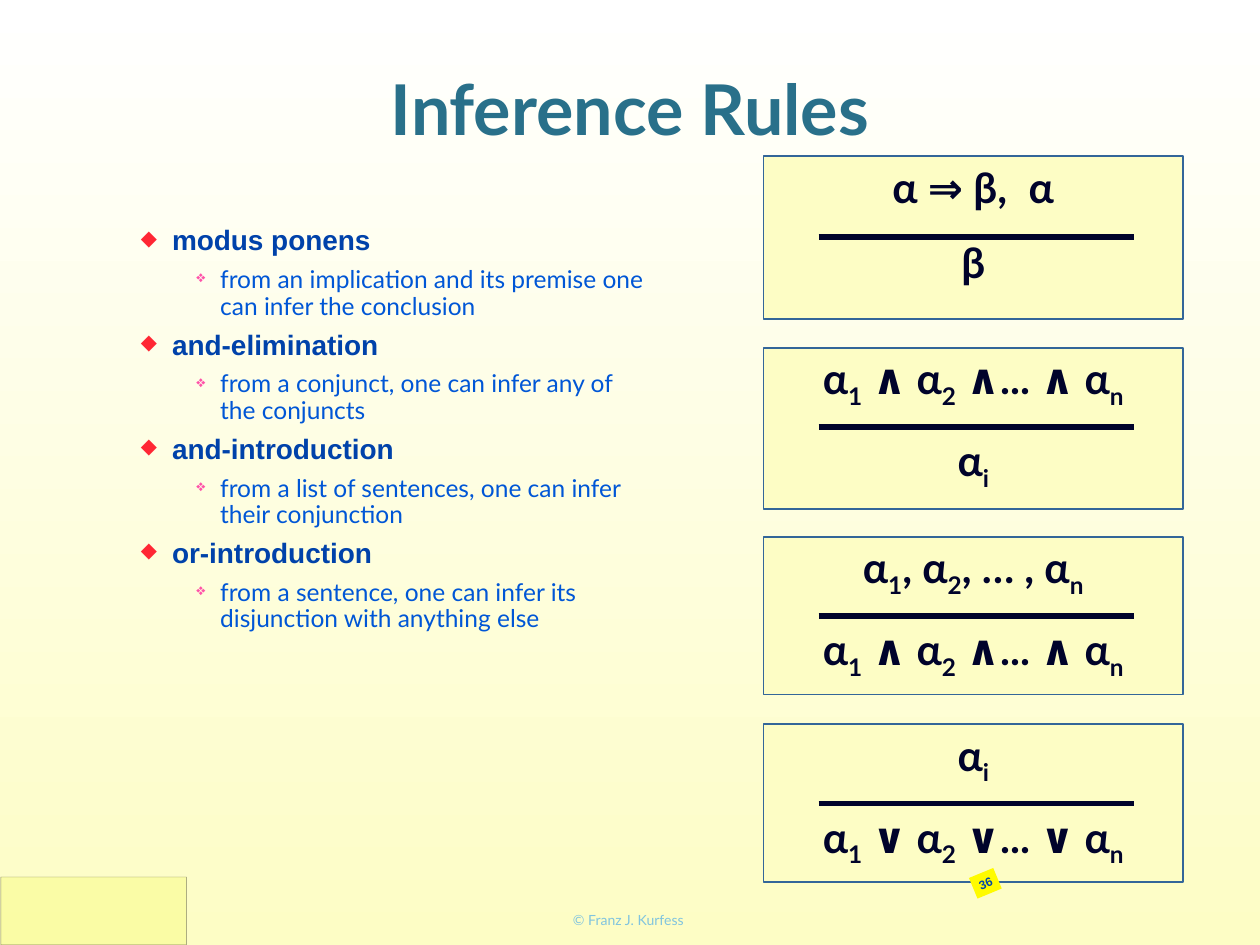
from dataclasses import dataclass

from lxml import etree
from pptx import Presentation
from pptx.dml.color import RGBColor
from pptx.enum.shapes import MSO_CONNECTOR, MSO_SHAPE
from pptx.enum.text import MSO_ANCHOR, PP_ALIGN
from pptx.oxml.ns import qn
from pptx.shapes.autoshape import Shape
from pptx.slide import Slide
from pptx.text.text import TextFrame, _Paragraph
from pptx.util import Cm, Pt

RECT = MSO_SHAPE.RECTANGLE
STRAIGHT = MSO_CONNECTOR.STRAIGHT
TOP, MIDDLE = MSO_ANCHOR.TOP, MSO_ANCHOR.MIDDLE
CENTER = PP_ALIGN.CENTER


@dataclass(frozen=True)
class Style:
    size: float
    color: str
    face: str = "Lato"
    bold: bool = False


@dataclass(frozen=True)
class Theme:
    title: Style = Style(40, "29708A", bold=True)
    head: Style = Style(16, "0042AA", "Arial", True)
    note: Style = Style(14, "0056D6")
    math: Style = Style(24, "00032B", bold=True)
    foot: Style = Style(8, "80C4DF")
    page: Style = Style(7, "0048AA", "Arial", True)
    cream: str = "FDFDC5"
    white: str = "FFFFFF"
    edge: str = "336699"
    tag: str = "FFFB00"
    corner: str = "F8FC84"
    black: str = "000000"


@dataclass(frozen=True)
class Level:
    style: Style
    left: float
    hang: float
    mark: str
    color: str
    scale: int


@dataclass(frozen=True)
class Rule:
    """One inference rule; an underscore marks the next sign as a subscript."""
    name: str
    note: str
    above: str
    below: str
    top: float
    height: float
    bar: float


THEME = Theme()
HEAD = Level(THEME.head, 1.85, 0.63, "◆", "FF2734", 75)
NOTE = Level(THEME.note, 2.82, 0.48, "❖", "FF52A9", 65)
AND = "α_1 ∧ α_2 ∧... ∧ α_n"
RULES = [
    Rule("modus ponens",
         "from an implication and its premise one can infer the conclusion",
         "α ⇒ β, \t α", "β", 3.15, 3.28, 4.78),
    Rule("and-elimination",
         "from a conjunct, one can infer any of the conjuncts",
         AND, "α_i", 7.01, 3.25, 8.61),
    Rule("and-introduction",
         "from a list of sentences, one can infer their conjunction",
         "α_1, α_2, … , α_n", AND, 10.82, 3.18, 12.42),
    Rule("or-introduction",
         "from a sentence, one can infer its disjunction with anything else",
         "α_i", "α_1 ∨ α_2 ∨... ∨ α_n", 14.6, 3.18, 16.2),
]


def rgb(color: str) -> RGBColor:
    return RGBColor.from_string(color)


def set_font(para: _Paragraph, style: Style) -> None:
    font = para.font
    font.name, font.size, font.bold = style.face, Pt(style.size), style.bold
    font.color.rgb = rgb(style.color)


def set_frame(frame: TextFrame, anchor: MSO_ANCHOR, wrap: bool = True) -> None:
    frame.word_wrap = wrap
    frame.vertical_anchor = anchor
    frame.margin_left = frame.margin_right = Cm(0.1)
    frame.margin_top = frame.margin_bottom = Cm(0.1)


def next_para(frame: TextFrame, gap: float) -> _Paragraph:
    """Return the empty first paragraph, or a new one set off by the gap."""
    if not frame.paragraphs[0].runs:
        return frame.paragraphs[0]
    para = frame.add_paragraph()
    para.space_before = Pt(gap)
    return para


def add_text(slide: Slide, text: str, style: Style, left: float, top: float,
             width: float, height: float) -> None:
    box = slide.shapes.add_textbox(Cm(left), Cm(top), Cm(width), Cm(height))
    set_frame(box.text_frame, MIDDLE)
    para = box.text_frame.paragraphs[0]
    para.text, para.alignment = text, CENTER
    set_font(para, style)


def add_rect(slide: Slide, fill: str, left: float, top: float,
             width: float, height: float) -> Shape:
    rect = slide.shapes.add_shape(RECT, Cm(left), Cm(top), Cm(width), Cm(height))
    rect.shadow.inherit = False
    rect.fill.solid()
    rect.fill.fore_color.rgb = rgb(fill)
    rect.line.fill.background()
    return rect


def set_line(shape: Shape, color: str, width: float) -> None:
    shape.line.color.rgb = rgb(color)
    shape.line.width = Pt(width)


def add_item(frame: TextFrame, text: str, level: Level) -> None:
    para = next_para(frame, 6)
    para.add_run().text = text
    para.line_spacing = 0.9
    props = para._p.get_or_add_pPr()
    props.set("marL", str(Cm(level.left)))
    props.set("indent", str(-Cm(level.hang)))
    tint = etree.SubElement(props, qn("a:buClr"))
    etree.SubElement(tint, qn("a:srgbClr"), val=level.color)
    etree.SubElement(props, qn("a:buSzPct"), val=str(level.scale * 1000))
    etree.SubElement(props, qn("a:buChar"), char=level.mark)
    set_font(para, level.style)


def add_math(frame: TextFrame, text: str) -> None:
    para = next_para(frame, 14)
    para.alignment = CENTER
    first, *rest = text.split("_")
    para.add_run().text = first
    for part in rest:
        sub = para.add_run()
        sub.text = part[0]
        sub._r.get_or_add_rPr().set("baseline", "-25000")
        if part[1:]:
            para.add_run().text = part[1:]
    set_font(para, THEME.math)


def add_rule(slide: Slide, rule: Rule) -> None:
    box = add_rect(slide, THEME.cream, 15.39, rule.top, 8.46, rule.height)
    set_line(box, THEME.edge, 1)
    set_frame(box.text_frame, TOP)
    for text in (rule.above, rule.below):
        add_math(box.text_frame, text)
    bar = slide.shapes.add_connector(
        STRAIGHT, Cm(16.5), Cm(rule.bar), Cm(22.86), Cm(rule.bar))
    set_line(bar, THEME.math.color, 3)
    etree.SubElement(bar._element.spPr, qn("a:effectLst"))


def add_back(slide: Slide) -> None:
    fill = slide.background.fill
    fill.gradient()
    fill.gradient_angle = 90
    for stop, color, place in zip(
            fill.gradient_stops, (THEME.cream, THEME.white), (0, 1)):
        stop.color.rgb, stop.position = rgb(color), place
    corner = add_rect(slide, THEME.corner, 0.02, 17.68, 3.74, 1.37)
    set_line(corner, THEME.black, 0.25)
    for tint in corner._element.spPr.iter(qn("a:srgbClr")):
        etree.SubElement(tint, qn("a:alpha"), val="48000")


def add_page(slide: Slide) -> None:
    tag = add_rect(slide, THEME.tag, 19.6, 17.58, 0.53, 0.45)
    tag.rotation = 337.5
    set_frame(tag.text_frame, MIDDLE, wrap=False)
    para = tag.text_frame.paragraphs[0]
    para.text, para.alignment = "36", CENTER
    set_font(para, THEME.page)


def main() -> None:
    deck = Presentation()
    deck.slide_width, deck.slide_height = Cm(25.4), Cm(19.05)
    slide = deck.slides.add_slide(deck.slide_layouts[6])
    add_back(slide)
    add_text(slide, "© Franz J. Kurfess", THEME.foot, 8.53, 18.21, 8.28, 0.66)
    add_text(slide, "Inference Rules", THEME.title, 1.52, 0, 22.36, 4.32)
    body = slide.shapes.add_textbox(Cm(1.52), Cm(4.47), Cm(11.73), Cm(13.26))
    set_frame(body.text_frame, TOP)
    for rule in RULES:
        add_item(body.text_frame, rule.name, HEAD)
        add_item(body.text_frame, rule.note, NOTE)
        add_rule(slide, rule)
    add_page(slide)
    deck.save("out.pptx")


if __name__ == "__main__":
    main()
